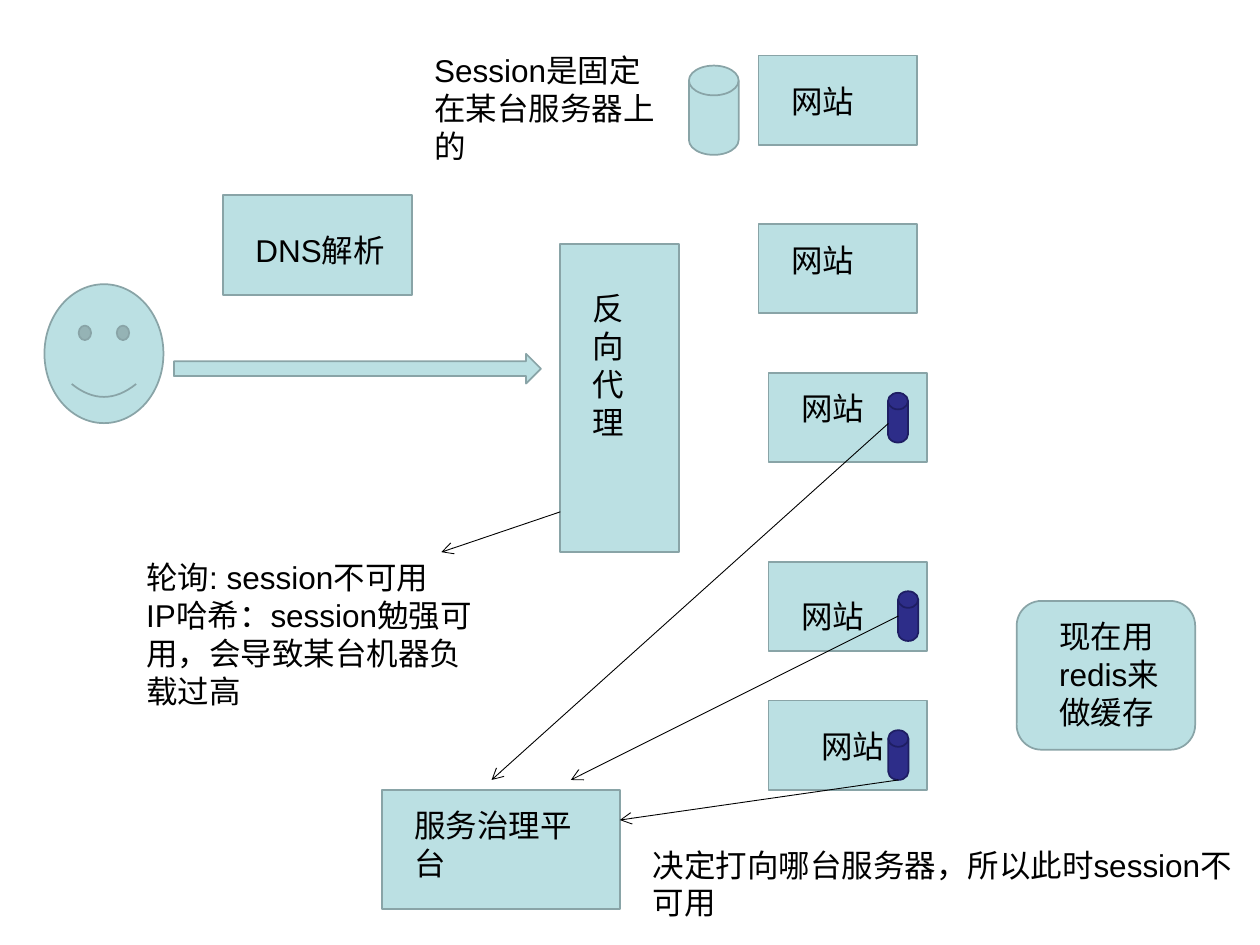
from lxml import etree
from pptx import Presentation
from pptx import util as u
from pptx.dml.color import RGBColor
from pptx.enum import shapes, text
from pptx.oxml import ns

Pt = u.Pt
Preset = shapes.MSO_SHAPE
COLORS = {
    "pale": "BBE0E3",
    "pale_edge": "89A4A7",
    "navy": "2D2D89",
    "navy_edge": "1E1E63",
    "ink": "000000",
}


def color(name):
    return RGBColor.from_string(COLORS[name])


def add_text(page, box, *lines, size=18, font="Arial", ink="ink"):
    label = page.shapes.add_textbox(*map(Pt, box))
    frame = label.text_frame
    frame.word_wrap = True
    frame.auto_size = text.MSO_AUTO_SIZE.SHAPE_TO_FIT_TEXT
    for index, line in enumerate(lines):
        para = frame.add_paragraph() if index else frame.paragraphs[0]
        span = para.add_run()
        span.text = line
        span.font.size = Pt(size)
        span.font.name = font
        span.font.color.rgb = color(ink)


def add_block(page, preset, box, fill="pale"):
    block = page.shapes.add_shape(preset, *map(Pt, box))
    block.shadow.inherit = False
    block.fill.solid()
    block.fill.fore_color.rgb = color(fill)
    block.line.color.rgb = color(fill + "_edge")
    block.line.width = Pt(1)
    return block


def add_arrow(page, start, end):
    arrow = page.shapes.add_connector(
        shapes.MSO_CONNECTOR.STRAIGHT, *map(Pt, start + end))
    arrow.line.color.rgb = color("ink")
    arrow.line.width = Pt(0.5)
    properties = arrow.line._get_or_add_ln()
    etree.SubElement(properties, ns.qn("a:tailEnd"), type="arrow")
    etree.SubElement(arrow._element.spPr, ns.qn("a:effectLst"))


def labelled_block(page, box, label_box, label, preset=Preset.RECTANGLE):
    left, top = box[:2]
    dx, dy, width, height = label_box
    add_block(page, preset, box)
    add_text(page, (left + dx, top + dy, width, height), label)


def server(page, left, top, label_offset, cache_offset=None):
    labelled_block(page, (left, top, 90.7, 51), label_offset + (68, 29), "网站")
    if cache_offset:
        dx, dy = cache_offset
        add_block(page, Preset.FLOWCHART_MAGNETIC_DISK,
                  (left + dx, top + dy, 11.5, 28.4), fill="navy")


def servers(page, left, top):
    server(page, left, top, (11.5, 11.5))
    server(page, left, top + 96.4, (11.5, 5.8))
    server(page, left + 5.7, top + 181.4, (11.5, 5.8), (68.2, 11.4))
    server(page, left + 5.7, top + 289.4, (11.5, 16.7), (74, 16.8))
    server(page, left + 5.7, top + 368.6, (23, 11.4), (68.4, 17))


def session_store(page, left, top):
    add_text(page, (left, top, 142, 72), "Session是固定在某台服务器上的")
    add_block(page, Preset.FLOWCHART_MAGNETIC_DISK,
              (left + 152.7, top + 11.6, 28.4, 51))


def visitor(page, left, top):
    add_block(page, Preset.SMILEY_FACE, (left, top, 68, 79.4))
    add_block(page, Preset.RIGHT_ARROW, (left + 74, top + 39.8, 209.7, 17))
    labelled_block(page, (left + 102, top - 50.8, 108, 57),
                   (11.5, 17, 96.5, 29), "DNS解析")


def proxy(page, left, top):
    labelled_block(page, (left, top, 68, 176), (11.5, 22.3, 39.6, 93.6), "反向代理")
    add_arrow(page, (left, top + 153), (left - 68, top + 176))
    add_text(page, (left - 243.7, top + 176, 209.7, 93.6),
             "轮询: session不可用",
             "IP哈希：session勉强可用，会导致某台机器负载过高")


def platform(page, left, top):
    labelled_block(page, (left, top, 136, 68), (11.5, 5.8, 108, 50.4), "服务治理平台")
    add_text(page, (left + 147.6, top + 28.3, 354.4, 50.4),
             "决定打向哪台服务器，所以此时session不可用")
    routes = [
        ((507.6, 242), (left + 62.7, top - 5.7)),
        ((513.4, 352), (left + 108, top - 5.7)),
        ((513.4, 445.7), (left + 136, top + 17.2)),
    ]
    for start, end in routes:
        add_arrow(page, start, end)


def cache_note(page, left, top):
    labelled_block(page, (left, top, 102, 85), (17.2, 5.8, 85, 72),
                   "现在用redis来做缓存",
                   preset=Preset.FLOWCHART_ALTERNATE_PROCESS)


def main():
    deck = Presentation()
    deck.slide_width, deck.slide_height = Pt(720), Pt(540)
    page = deck.slides.add_slide(deck.slide_layouts[6])
    servers(page, 433.5, 31.7)
    session_store(page, 241, 25.9)
    visitor(page, 25.4, 162.4)
    proxy(page, 320.2, 139.5)
    platform(page, 218.2, 451.4)
    cache_note(page, 581, 343.4)
    deck.save("out.pptx")


if __name__ == "__main__":
    main()
